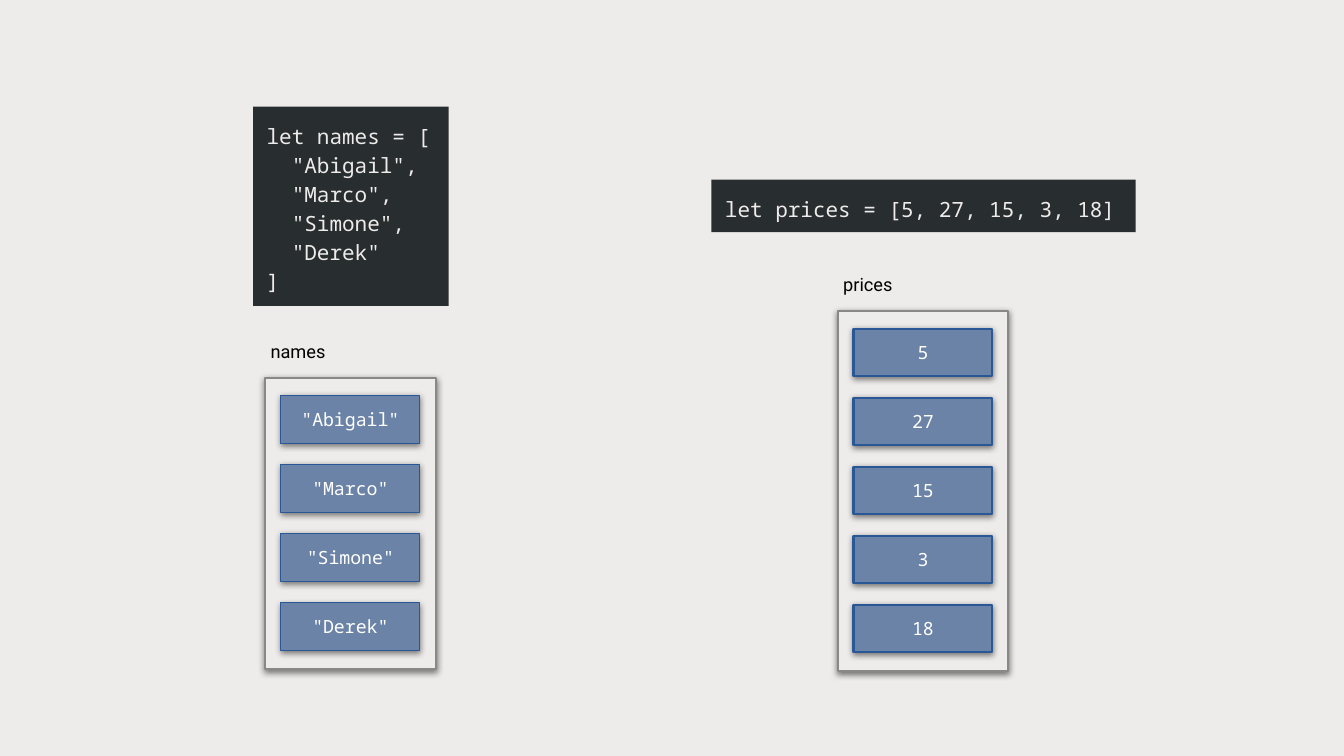
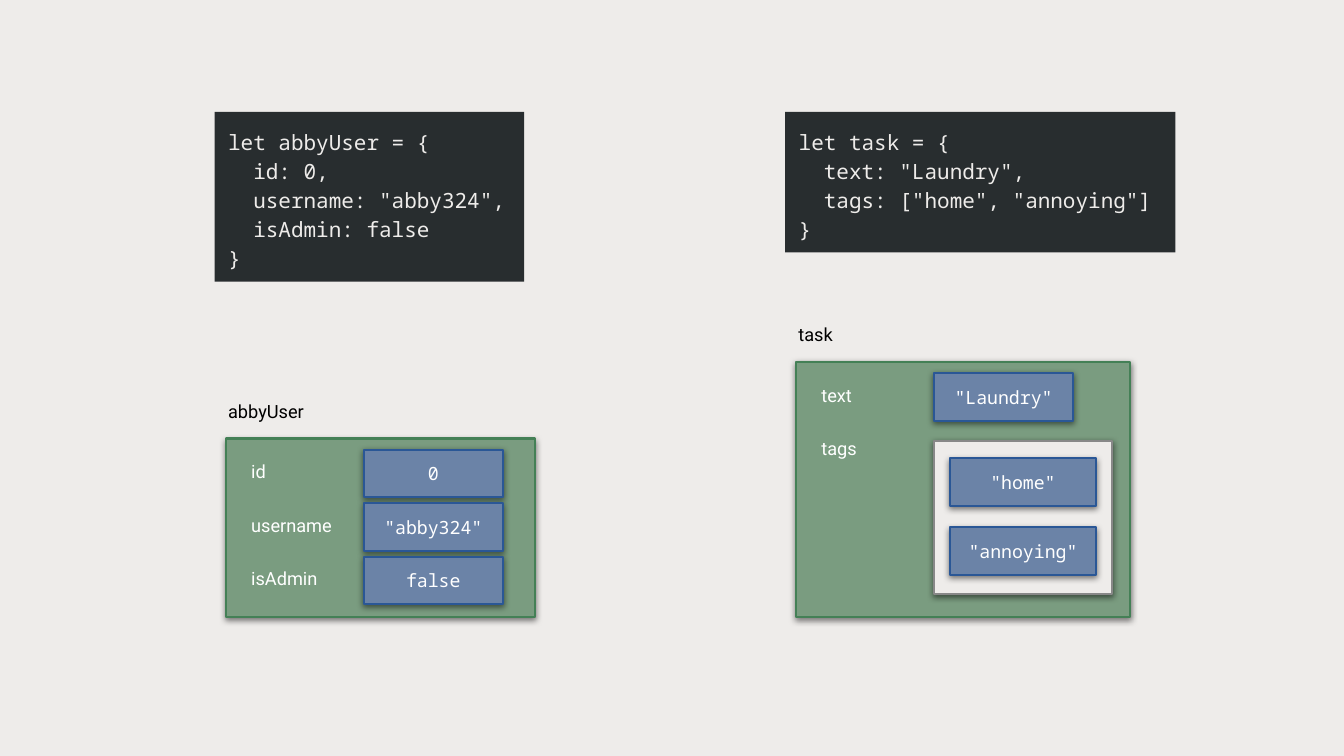
"""Draws JavaScript arrays and objects beside the code that declares them."""
from dataclasses import dataclass

from lxml.etree import SubElement
from pptx import Presentation
from pptx.dml.color import RGBColor
from pptx.enum.shapes import MSO_SHAPE
from pptx.enum.text import MSO_ANCHOR, MSO_AUTO_SIZE, PP_ALIGN
from pptx.oxml.ns import qn
from pptx.util import Cm, Pt


@dataclass(frozen=True)
class Theme:
    paper: str = "EEECEA"
    code_fill: str = "282D2F"
    cell_fill: str = "6B83A7"
    cell_line: str = "2A5796"
    array_line: str = "888888"
    object_fill: str = "7A9C80"
    object_line: str = "448056"
    black: str = "000000"
    white: str = "FFFFFF"
    mono: str = "Noto Sans Mono"
    sans: str = "Roboto"
    code_size: float = 15
    label_size: float = 13
    line_width: float = 1.5
    inset: float = 0.34


@dataclass(frozen=True)
class Area:
    left: float
    top: float
    width: float
    height: float


@dataclass(frozen=True)
class TextStyle:
    font: str
    size: float
    colour: str
    align: PP_ALIGN = PP_ALIGN.LEFT
    anchor: MSO_ANCHOR = MSO_ANCHOR.TOP


@dataclass(frozen=True)
class Code:
    left: float
    top: float
    width: float
    lines: tuple[str, ...]


@dataclass(frozen=True)
class Array:
    values: tuple[str, ...]
    cell_width: float = 3.5
    cell_line_width: float = 1.5


@dataclass(frozen=True)
class Record:
    fields: tuple[tuple[str, str | Array], ...]
    width: float
    height: float


@dataclass(frozen=True)
class Variable:
    name: str
    left: float
    top: float
    value: Array | Record
    code: Code


THEME = Theme()
CODE_STYLE = TextStyle(THEME.mono, THEME.code_size, THEME.paper)
NAME_STYLE = TextStyle(THEME.sans, THEME.label_size, THEME.black)
KEY_STYLE = TextStyle(THEME.sans, THEME.label_size, THEME.white)
CELL_STYLE = TextStyle(THEME.mono, THEME.label_size, THEME.white,
                       PP_ALIGN.CENTER, MSO_ANCHOR.MIDDLE)

CELL_HEIGHT, CELL_PITCH = 1.2, 1.74
ARRAY_PAD_X, ARRAY_PAD_Y, ARRAY_EXTRA = 0.4, 0.44, 0.38
FIELD_PITCH, FIELD_TOP, KEY_LEFT, VALUE_LEFT = 1.35, 0.28, 0.3, 3.48
NESTED_DROP = 0.36
LABEL_HEIGHT, NAME_WIDTH, KEY_WIDTH = 1.24, 3.02, 3.1
CODE_FIRST_LINE, CODE_LINE = 1.32, 0.74

PAGES = (
    (
        Variable("names", 6.68, 9.53,
                 Array(('"Abigail"', '"Marco"', '"Simone"', '"Derek"'), cell_line_width=0.75),
                 Code(6.38, 2.69, 4.93,
                      ("let names = [", '  "Abigail",', '  "Marco",',
                       '  "Simone",', '  "Derek"', "]"))),
        Variable("prices", 21.11, 7.84, Array(("5", "27", "15", "3", "18")),
                 Code(17.93, 4.53, 10.69, ("let prices = [5, 27, 15, 3, 18]",))),
    ),
    (
        Variable("abbyUser", 5.69, 11.05,
                 Record((("id", "0"), ("username", '"abby324"'), ("isAdmin", "false")),
                        7.8, 4.5),
                 Code(5.41, 2.82, 7.8,
                      ("let abbyUser = {", "  id: 0,", '  username: "abby324",',
                       "  isAdmin: false", "}"))),
        Variable("task", 20.06, 9.12,
                 Record((("text", '"Laundry"'),
                         ("tags", Array(('"home"', '"annoying"'), cell_width=3.68))),
                        8.41, 6.43),
                 Code(19.79, 2.82, 9.83,
                      ("let task = {", '  text: "Laundry",',
                       '  tags: ["home", "annoying"]', "}"))),
    ),
)


def write(box, lines: tuple[str, ...], style: TextStyle):
    """Write lines into one paragraph of a box and return that paragraph."""
    frame = box.text_frame
    frame.word_wrap = True
    frame.vertical_anchor = style.anchor
    frame.margin_left = frame.margin_right = Cm(THEME.inset)
    frame.margin_top = frame.margin_bottom = Cm(THEME.inset)
    para = frame.paragraphs[0]
    para.alignment = style.align
    for index, line in enumerate(lines):
        if index:
            para.add_line_break()
        span = para.add_run()
        span.text = line
        span.font.name = style.font
        span.font.size = Pt(style.size)
        span.font.color.rgb = RGBColor.from_string(style.colour)
    return para


def draw_rectangle(page, area: Area, fill: str):
    """Draw a flat rectangle without an outline."""
    box = page.shapes.add_shape(MSO_SHAPE.RECTANGLE, Cm(area.left), Cm(area.top),
                                Cm(area.width), Cm(area.height))
    box.shadow.inherit = False
    box.fill.solid()
    box.fill.fore_color.rgb = RGBColor.from_string(fill)
    box.line.fill.background()
    return box


def draw_raised(page, area: Area, fill: str, line: str, line_width: float = THEME.line_width):
    """Draw an outlined rectangle with a soft shadow below it."""
    box = draw_rectangle(page, area, fill)
    box.line.color.rgb = RGBColor.from_string(line)
    box.line.width = Pt(line_width)
    effects = box.element.spPr.find(qn("a:effectLst"))
    shadow = SubElement(effects, qn("a:outerShdw"), blurRad=str(Pt(4.5)), dist=str(Pt(1.5)),
                        dir="5400000", algn="bl", rotWithShape="0")
    colour = SubElement(shadow, qn("a:srgbClr"), val=THEME.black)
    SubElement(colour, qn("a:alpha"), val="50000")
    return box


def draw_label(page, text: str, left: float, top: float, width: float, style: TextStyle) -> None:
    """Draw a one-line label."""
    box = page.shapes.add_textbox(Cm(left), Cm(top), Cm(width), Cm(LABEL_HEIGHT))
    write(box, (text,), style)
    box.text_frame.auto_size = MSO_AUTO_SIZE.SHAPE_TO_FIT_TEXT


def draw_code(page, code: Code) -> None:
    """Draw a dark panel of code, as tall as its lines need."""
    height = CODE_FIRST_LINE + CODE_LINE * (len(code.lines) - 1)
    box = draw_rectangle(page, Area(code.left, code.top, code.width, height), THEME.code_fill)
    para = write(box, code.lines, CODE_STYLE)
    para.line_spacing = 1.15
    para.space_after = Pt(16)
    box.text_frame.auto_size = MSO_AUTO_SIZE.SHAPE_TO_FIT_TEXT


def draw_cell(page, text: str, left: float, top: float, width: float = 3.5,
              line_width: float = THEME.line_width) -> None:
    """Draw one value in a blue cell."""
    box = draw_raised(page, Area(left, top, width, CELL_HEIGHT),
                      THEME.cell_fill, THEME.cell_line, line_width)
    write(box, (text,), CELL_STYLE)


def draw_array(page, array: Array, left: float, top: float) -> None:
    """Draw an array as a frame with a column of cells."""
    height = CELL_PITCH * len(array.values) + ARRAY_EXTRA
    draw_raised(page, Area(left, top, array.cell_width + 2 * ARRAY_PAD_X, height),
                THEME.paper, THEME.array_line)
    for index, value in enumerate(array.values):
        draw_cell(page, value, left + ARRAY_PAD_X, top + ARRAY_PAD_Y + index * CELL_PITCH,
                  array.cell_width, array.cell_line_width)


def draw_record(page, record: Record, left: float, top: float) -> None:
    """Draw an object as a green frame with rows of keys and values."""
    draw_raised(page, Area(left, top, record.width, record.height),
                THEME.object_fill, THEME.object_line)
    for index, (key, value) in enumerate(record.fields):
        row_top = top + FIELD_TOP + index * FIELD_PITCH
        draw_label(page, key, left + KEY_LEFT, row_top, KEY_WIDTH, KEY_STYLE)
        if isinstance(value, Array):
            draw_array(page, value, left + VALUE_LEFT, row_top + NESTED_DROP)
        else:
            draw_cell(page, value, left + VALUE_LEFT, row_top)


def draw_variable(page, variable: Variable) -> None:
    """Draw the code, the name and the value of a variable."""
    draw_code(page, variable.code)
    if isinstance(variable.value, Array):
        name_shift = 0.2
        draw_array(page, variable.value, variable.left, variable.top)
    else:
        name_shift = 0.28
        draw_record(page, variable.value, variable.left, variable.top)
    draw_label(page, variable.name, variable.left - name_shift,
               variable.top - LABEL_HEIGHT, NAME_WIDTH, NAME_STYLE)


def main() -> None:
    """Build and save the deck."""
    deck = Presentation()
    deck.slide_width, deck.slide_height = Cm(33.87), Cm(19.05)
    background = deck.slide_master.background.fill
    background.solid()
    background.fore_color.rgb = RGBColor.from_string(THEME.paper)
    for variables in PAGES:
        page = deck.slides.add_slide(deck.slide_layouts[6])
        for variable in variables:
            draw_variable(page, variable)
    deck.save("out.pptx")


if __name__ == "__main__":
    main()
